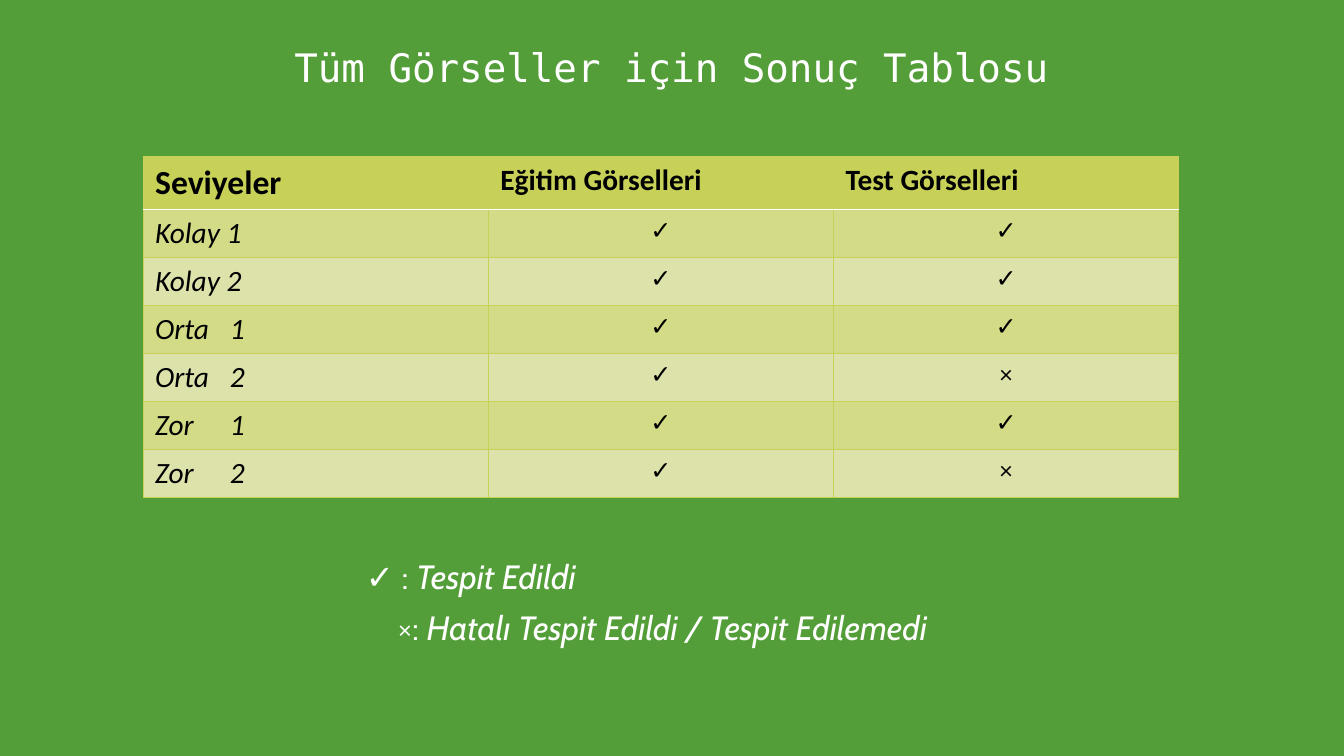
from dataclasses import dataclass

import pptx
import pptx.dml.color
import pptx.enum.text
import pptx.oxml
import pptx.oxml.ns
import pptx.util
from pptx.util import Cm

ALIGN = pptx.enum.text.PP_ALIGN
ANCHOR = pptx.enum.text.MSO_ANCHOR
NO_FIT = pptx.enum.text.MSO_AUTO_SIZE.NONE


@dataclass(frozen=True)
class Theme:
    green: str = "549E39"
    lime: str = "C7D157"
    band_dark: str = "D3DB86"
    band_light: str = "DDE2AA"
    white: str = "FFFFFF"
    black: str = "000000"
    title_font: str = "DejaVu Sans Mono"
    table_font: str = "Calibri"
    legend_font: str = "Cabin"
    title_size: int = 28
    large_size: int = 24
    table_size: int = 21
    mark_size: int = 18


THEME = Theme()
YES, NO = "✓", "×"
HEADERS = ["Seviyeler", "Eğitim Görselleri", "Test Görselleri"]
RESULTS = [
    ("Kolay 1", YES, YES),
    ("Kolay 2", YES, YES),
    ("Orta\t1", YES, YES),
    ("Orta\t2", YES, NO),
    ("Zor\t1", YES, YES),
    ("Zor\t2", YES, NO),
]


def rgb(color):
    return pptx.dml.color.RGBColor.from_string(color)


def add_text(p, text, *, font, size, color, bold=False, italic=False, align=None):
    """Append one formatted run to a paragraph."""
    if align is not None:
        p.alignment = align
    r = p.add_run()
    r.text = text
    r.font.name = font
    r.font.size = pptx.util.Pt(size)
    r.font.color.rgb = rgb(color)
    r.font.bold = bold
    r.font.italic = italic


def add_tab_stop(p, position):
    p._p.get_or_add_pPr().append(pptx.oxml.parse_xml(
        f'<a:tabLst {pptx.oxml.ns.nsdecls("a")}>'
        f'<a:tab pos="{int(position)}" algn="l"/></a:tabLst>'))


def set_border(cell, side, color, width):
    cell._tc.get_or_add_tcPr().append(pptx.oxml.parse_xml(
        f'<a:ln{side} {pptx.oxml.ns.nsdecls("a")} w="{int(pptx.util.Pt(width))}">'
        f'<a:solidFill><a:srgbClr val="{color}"/></a:solidFill></a:ln{side}>'))


def format_cell(cell, fill, white_side):
    cell.margin_left = cell.margin_right = Cm(0.3)
    cell.margin_top = cell.margin_bottom = Cm(0.15)
    for side in "LRTB":
        if side == white_side:
            set_border(cell, side, THEME.white, 1)
        else:
            set_border(cell, side, THEME.lime, 0.75)
    cell.fill.solid()
    cell.fill.fore_color.rgb = rgb(fill)


def add_title(s, text):
    sp = s.shapes.title
    sp.left, sp.top, sp.width, sp.height = Cm(3.1), Cm(0.97), Cm(27.64), Cm(1.45)
    tf = sp.text_frame
    tf.auto_size = NO_FIT
    tf.vertical_anchor = ANCHOR.MIDDLE
    add_text(tf.paragraphs[0], text, font=THEME.title_font, size=THEME.title_size,
             color=THEME.white, align=ALIGN.CENTER)


def add_results(s):
    rows = [HEADERS, *RESULTS]
    table = s.shapes.add_table(len(rows), len(HEADERS), Cm(3.61), Cm(3.95),
                               Cm(26.1), Cm(8.45)).table
    for column in table.columns:
        column.width = Cm(8.7)
    for i, values in enumerate(rows):
        table.rows[i].height = Cm(1.19 if i else 1.31)
        fill = (THEME.band_dark if i % 2 else THEME.band_light) if i else THEME.lime
        white_side = {0: "B", 1: "T"}.get(i)
        for j, text in enumerate(values):
            cell = table.cell(i, j)
            format_cell(cell, fill, white_side)
            p = cell.text_frame.paragraphs[0]
            if "\t" in text:
                add_tab_stop(p, Cm(1.88))
            is_mark = i > 0 and j > 0
            if is_mark:
                size = THEME.mark_size
            else:
                size = THEME.large_size if i == j == 0 else THEME.table_size
            add_text(p, text, font=THEME.table_font, size=size, color=THEME.black,
                     bold=i == 0, italic=i > 0 and j == 0,
                     align=ALIGN.CENTER if is_mark else ALIGN.LEFT)


def add_legend(s, mark, meaning, top, width, align):
    sp = s.shapes.add_textbox(Cm(8.97), top, width, Cm(1.27))
    tf = sp.text_frame
    tf.word_wrap = False
    p = tf.paragraphs[0]
    for text, italic in ((mark, False), (meaning, True)):
        add_text(p, text, font=THEME.legend_font, size=THEME.large_size,
                 color=THEME.white, italic=italic, align=align)


def main():
    prs = pptx.Presentation()
    prs.slide_width, prs.slide_height = Cm(33.87), Cm(19.05)
    s = prs.slides.add_slide(prs.slide_layouts[5])
    s.background.fill.solid()
    s.background.fill.fore_color.rgb = rgb(THEME.green)

    # Title and results
    add_title(s, "Tüm Görseller için Sonuç Tablosu")
    add_results(s)

    # Legend
    add_legend(s, f"{YES} : ", "Tespit Edildi", Cm(13.89), Cm(6.43), ALIGN.LEFT)
    add_legend(s, f"{NO}:", " Hatalı Tespit Edildi / Tespit Edilemedi",
               Cm(15.16), Cm(15.44), ALIGN.CENTER)
    prs.save("out.pptx")


if __name__ == "__main__":
    main()
